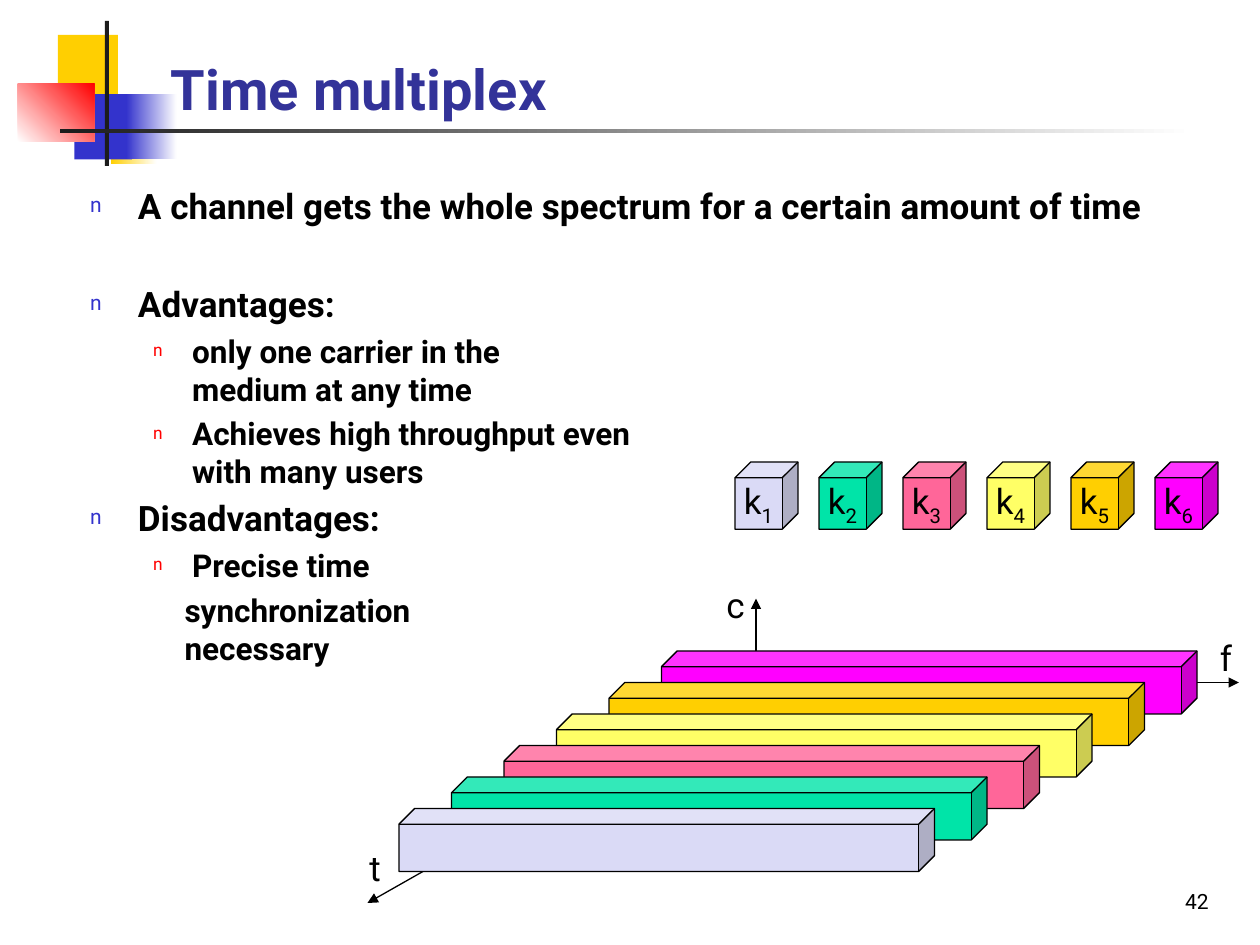
from lxml.etree import SubElement
from pptx import Presentation
from pptx.dml.color import RGBColor
from pptx.enum.shapes import MSO_CONNECTOR, MSO_SHAPE
from pptx.enum.text import MSO_ANCHOR, PP_ALIGN
from pptx.oxml.ns import qn
from pptx.util import Inches, Pt

# The slide is a grid of 120 columns by 90 rows
COLUMNS, ROWS = 120, 90
WIDTH, HEIGHT = Inches(10), Inches(7.5)
FONT = "Roboto"
BLACK, BLUE, GOLD, WHITE, RED = "000000", "3333CC", "FFCF01", "FFFFFF", "FF0000"
CHARCOAL, TITLE_BLUE = "1C1C1C", "333399"
CHANNEL_COLORS = ["DADAF6", "00E4A8", "FF6699", "FFFF66", GOLD, "FF00FF"]


def color(value):
    return RGBColor.from_string(value)


def place(column, row):
    return int(WIDTH * column / COLUMNS), int(HEIGHT * row / ROWS)


def add_run(paragraph, text, size, bold=False, fill=BLACK):
    run = paragraph.add_run()
    run.text = text
    run.font.name = FONT
    run.font.size = Pt(size)
    run.font.bold = bold
    run.font.color.rgb = color(fill)
    return run


def add_text_box(slide, box, wrap=True):
    left, top, width, height = box
    shape = slide.shapes.add_textbox(*place(left, top), *place(width, height))
    shape.text_frame.word_wrap = wrap
    return shape.text_frame


def add_block(slide, kind, box, fills, angle=0):
    """Add a preset shape with one solid colour or a two-colour gradient."""
    left, top, width, height = box
    shape = slide.shapes.add_shape(kind, *place(left, top), *place(width, height))
    shape.shadow.inherit = False
    shape.line.fill.background()
    if len(fills) == 1:
        shape.fill.solid()
        shape.fill.fore_color.rgb = color(fills[0])
    else:
        shape.fill.gradient()
        shape.fill.gradient_angle = angle
        for stop, fill in zip(shape.fill.gradient_stops, fills):
            stop.color.rgb = color(fill)
    return shape


def add_cube(slide, box, fill):
    cube = add_block(slide, MSO_SHAPE.CUBE, box, [fill])
    cube.adjustments[0] = 0.25
    cube.line.color.rgb = color(BLACK)
    cube.line.width = Pt(0.75)
    return cube


def add_arrow(slide, start, end):
    arrow = slide.shapes.add_connector(MSO_CONNECTOR.STRAIGHT, *place(*start), *place(*end))
    arrow.line.color.rgb = color(BLACK)
    arrow.line.width = Pt(0.75)
    SubElement(arrow.line._get_or_add_ln(), qn("a:tailEnd"), type="triangle")
    SubElement(arrow._element.spPr, qn("a:effectLst"))


def add_decoration(slide, box):
    """Coloured squares and the crossed bars beside the title."""
    left, top, width, height = box
    parts = [  # shares of the box, then colours and gradient angle
        ((0.034, 0.096, 0.051, 0.452), [GOLD], 0),
        ((0.079, 0.539, 0.039, 0.452), [GOLD, WHITE], 0),
        ((0.048, 0.504, 0.049, 0.452), [BLUE], 0),
        ((0.092, 0.504, 0.043, 0.452), [BLUE, WHITE], 0),
        ((0, 0.435, 0.065, 0.4), [WHITE, RED], 45),
        ((0.074, 0, 0.0035, 1), [CHARCOAL], 0),
        ((0.036, 0.748, 0.964, 0.026), [CHARCOAL, WHITE], 0),
    ]
    for (x, y, w, h), fills, angle in parts:
        part = (left + x * width, top + y * height, w * width, h * height)
        add_block(slide, MSO_SHAPE.RECTANGLE, part, fills, angle)


def add_title(slide, box):
    frame = add_text_box(slide, box)
    frame.vertical_anchor = MSO_ANCHOR.BOTTOM
    add_run(frame.paragraphs[0], "Time multiplex", 32, True, TITLE_BLUE)


def add_bullet(properties, fill, percent):
    bullet_color = SubElement(properties, qn("a:buClr"))
    SubElement(bullet_color, qn("a:srgbClr"), val=fill)
    SubElement(properties, qn("a:buSzPct"), val=str(percent * 1000))
    SubElement(properties, qn("a:buFont"), typeface=FONT)
    SubElement(properties, qn("a:buChar"), char="n")


def add_body(slide, box):
    # Per level: size, left margin, first-line indent, bullet colour and percent
    styles = {
        "main": (20, 0.38, -0.38, BLUE, 60),
        "sub": (18, 0.81, -0.31, RED, 55),
        "plain": (18, 0.75, 0, None, None),
    }
    items = [  # level, space before, lines
        ("main", 4, ["A channel gets the whole spectrum for a certain amount of time"]),
        ("main", 32, ["Advantages:"]),
        ("sub", 4, ["only one carrier in the", "medium at any time"]),
        ("sub", 4, ["Achieves high throughput even", "with many users"]),
        ("main", 4, ["Disadvantages:"]),
        ("sub", 4, ["Precise time"]),
        ("plain", 4, ["synchronization", "necessary"]),
    ]
    frame = add_text_box(slide, box)
    for index, (level, space, lines) in enumerate(items):
        size, margin, indent, fill, percent = styles[level]
        paragraph = frame.add_paragraph() if index else frame.paragraphs[0]
        paragraph.level = 0 if level == "main" else 1
        paragraph.space_before = Pt(space)
        properties = paragraph._p.get_or_add_pPr()
        properties.set("marL", str(Inches(margin)))
        properties.set("indent", str(Inches(indent)))
        if fill:
            add_bullet(properties, fill, percent)
        for number, line in enumerate(lines):
            if number:
                paragraph.add_line_break()
            add_run(paragraph, line, size, True)


def add_time_diagram(slide, box):
    """Axes, then one bar per channel from the back to the front."""
    left, top, _, height = box
    origin = (left + 37, top + 10)
    axes = [  # arrow tip, label, label box
        ((0, 31), "t", (-1, 25, 3.4, 5.3)),
        ((37, 2), "c", (33, 0, 4.1, 5.3)),
        ((83, 10), "f", (80, 5, 3.4, 5.3)),
    ]
    for (x, y), label, (label_x, label_y, w, h) in axes:
        add_arrow(slide, origin, (left + x, top + y))
        frame = add_text_box(slide, (left + label_x, top + label_y, w, h), wrap=False)
        add_run(frame.paragraphs[0], label, 20)
    for index, fill in reversed(list(enumerate(CHANNEL_COLORS))):
        add_cube(slide, (left + 3 + 5 * index, top + height - 9 - 3 * index, 51, 6), fill)


def add_channel_key(slide, box):
    left, top, width, height = box
    side = 6
    step = (width - side) / (len(CHANNEL_COLORS) - 1)
    for index, fill in enumerate(CHANNEL_COLORS):
        cube = add_cube(slide, (left + step * index, top, side, height), fill)
        frame = cube.text_frame
        frame.word_wrap = False
        frame.vertical_anchor = MSO_ANCHOR.MIDDLE
        paragraph = frame.paragraphs[0]
        paragraph.alignment = PP_ALIGN.CENTER
        add_run(paragraph, "k", 20)
        subscript = add_run(paragraph, str(index + 1), 20)
        subscript.font._element.set("baseline", "-25000")


def add_slide_number(slide, box):
    paragraph = add_text_box(slide, box).paragraphs[0]
    paragraph.alignment = PP_ALIGN.CENTER
    add_run(paragraph, "42", 12)


def main():
    presentation = Presentation()
    presentation.slide_width, presentation.slide_height = WIDTH, HEIGHT
    slide = presentation.slides.add_slide(presentation.slide_layouts[6])
    # Boxes are left, top, width and height in columns and rows
    add_decoration(slide, (1.7, 2, 112, 13.8))
    add_time_diagram(slide, (35, 55, 83, 31))
    add_channel_key(slide, (70, 44, 46, 6.4))
    add_title(slide, (15.1, 2.2, 102.2, 10))
    add_body(slide, (7.4, 17, 105.5, 63))
    add_slide_number(slide, (108, 84, 12, 6))
    presentation.save("out.pptx")


if __name__ == "__main__":
    main()
